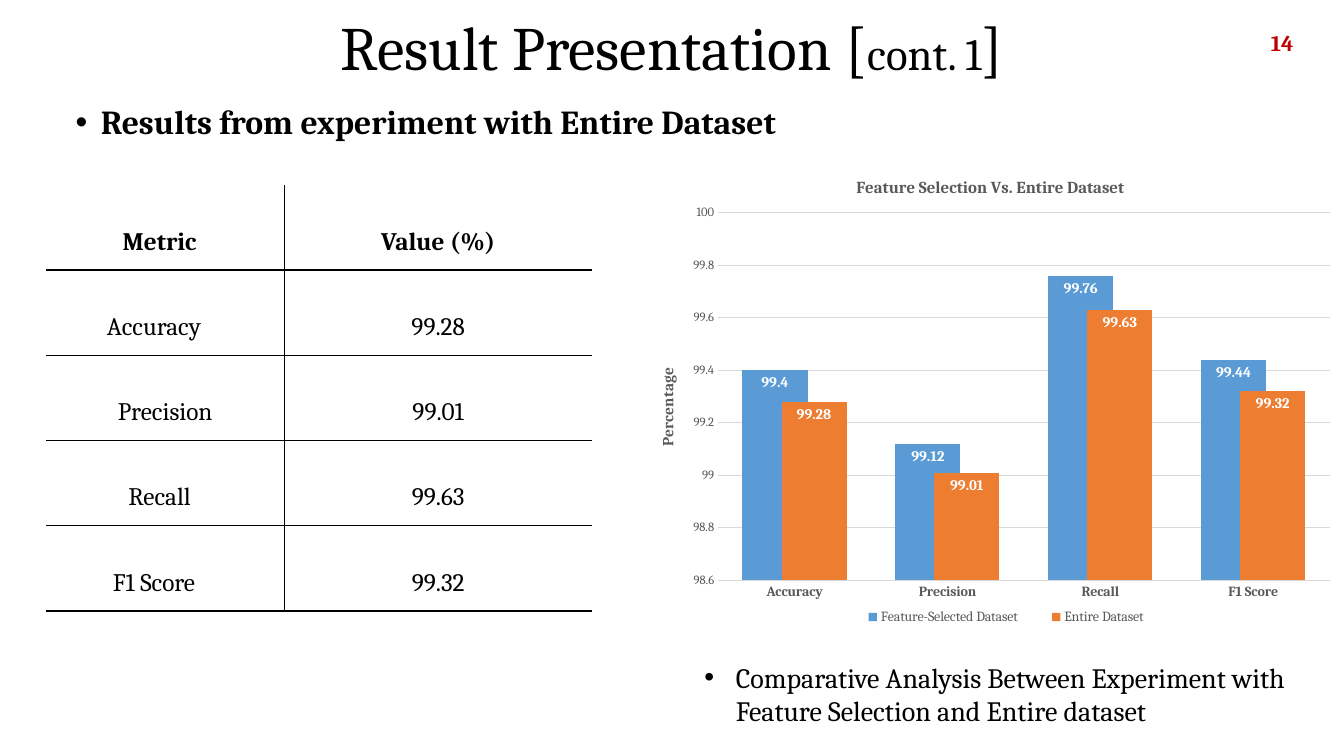
import pptx
import pptx.chart.data
import pptx.dml.color
import pptx.enum.chart
import pptx.enum.text
import pptx.oxml
import pptx.oxml.ns
import pptx.util
from lxml import etree

Pt = pptx.util.Pt
ALIGN = pptx.enum.text.PP_ALIGN
MIDDLE = pptx.enum.text.MSO_ANCHOR.MIDDLE


class Theme:
    font = "Cambria"
    black, red, grey, white = "000000", "C00000", "595959", "FFFFFF"
    grid, blue, orange = "D9D9D9", "5B9BD5", "ED7D31"
    title, title_note, heading, caption, cell, page = 44, 32, 24, 20, 18, 16
    chart_title, axis_title, data_label, chart_text, tick = 12, 11, 10.5, 10, 9


def rgb(colour):
    return pptx.dml.color.RGBColor.from_string(colour)


def set_all(target, values):
    for name, value in values.items():
        setattr(target, name, value)


def style_font(font, size, colour=Theme.black, bold=False):
    set_all(font, {"name": Theme.font, "size": Pt(size), "bold": bold})
    font.color.rgb = rgb(colour)


def write(paragraph, text, size, colour=Theme.black, bold=False):
    run = paragraph.add_run()
    run.text = text
    style_font(run.font, size, colour, bold)


def add_text(slide, box, frame_format=None):
    """Add a wrapping text box and return its first paragraph."""
    frame = slide.shapes.add_textbox(*map(Pt, box)).text_frame
    set_all(frame, {"word_wrap": True, **(frame_format or {})})
    return frame.paragraphs[0]


def add_bullet(paragraph, left, hanging):
    props = paragraph._p.get_or_add_pPr()
    props.set("marL", str(Pt(left)))
    props.set("indent", str(-Pt(hanging)))
    for tag, key, value in (("a:buFont", "typeface", "Arial"), ("a:buChar", "char", "•")):
        etree.SubElement(props, pptx.oxml.ns.qn(tag)).set(key, value)


# Title and page number
def build_header(slide, box, page):
    left, top, width, height = box
    title = slide.shapes.title
    set_all(title, dict(zip(("left", "top", "width", "height"), map(Pt, box))))
    title.text_frame.vertical_anchor = MIDDLE
    line = title.text_frame.paragraphs[0]
    set_all(line, {"alignment": ALIGN.CENTER, "line_spacing": 0.9})
    write(line, "Result Presentation [", Theme.title)
    write(line, "cont. 1", Theme.title_note)
    write(line, "]", Theme.title)

    number = add_text(slide, (left + width - 131, top + 16, 168, 29),
                      {"vertical_anchor": MIDDLE})
    number.alignment = ALIGN.RIGHT
    write(number, page, Theme.page, Theme.red, True)


# Bulleted statement
def build_bullet(slide, box, text, size, left, hanging, bold=False, spacing=1.0):
    statement = add_text(slide, box)
    statement.line_spacing = spacing
    add_bullet(statement, left, hanging)
    write(statement, text, size, bold=bold)


# Metric table
def border_cell(cell, visible):
    props = cell._tc.get_or_add_tcPr()
    for side in "LRTB":
        paint = (f'<a:solidFill><a:srgbClr val="{Theme.black}"/></a:solidFill>'
                 if side in visible else "<a:noFill/>")
        props.append(pptx.oxml.parse_xml(
            f'<a:ln{side} {pptx.oxml.ns.nsdecls("a")} w="{Pt(1)}">{paint}</a:ln{side}>'))


def build_metrics(slide, box, column_widths, rows):
    left, top, width, height = box
    table = slide.shapes.add_table(len(rows), 2, *map(Pt, box)).table
    set_all(table, {"first_row": False, "horz_banding": False})
    for column, column_width in zip(table.columns, column_widths):
        column.width = Pt(column_width)
    for r, (metric, value, shift) in enumerate(rows):
        table.rows[r].height = Pt(height / len(rows))
        for c, text in enumerate((metric, value)):
            cell = table.cell(r, c)
            set_all(cell, {"vertical_anchor": MIDDLE, "margin_top": 0, "margin_bottom": 0,
                           "margin_left": Pt(5), "margin_right": Pt(5 if c else 5 + shift)})
            border_cell(cell, ("L" if c else "R") + ("TB" if r else "B"))
            cell.fill.background()
            line = cell.text_frame.paragraphs[0]
            set_all(line, {"alignment": ALIGN.CENTER, "line_spacing": 2.0})
            write(line, text, Theme.cell, bold=r == 0)


# Comparison chart
def place_part(element, index, position, inner=False):
    """Give a chart part its place as fractions of the chart."""
    for old in element.findall(pptx.oxml.ns.qn("c:layout")):
        element.remove(old)
    target = '<c:layoutTarget val="inner"/>' if inner else ""
    keys = ("x", "y", "w", "h")[:len(position)]
    modes = "".join(f'<c:{k}Mode val="edge"/>' for k in keys[:2])
    sizes = "".join(f'<c:{k} val="{v}"/>' for k, v in zip(keys, position))
    element.insert(index, pptx.oxml.parse_xml(
        f'<c:layout {pptx.oxml.ns.nsdecls("c")}><c:manualLayout>'
        f"{target}{modes}{sizes}</c:manualLayout></c:layout>"))


def title_part(title, text, size, position):
    write(title.text_frame.paragraphs[0], text, size, Theme.grey, True)
    place_part(title._element, 1, position)


def build_comparison(slide, box, categories, series_values):
    enums = pptx.enum.chart
    data = pptx.chart.data.CategoryChartData()
    data.categories = categories
    for name, values, _ in series_values:
        data.add_series(name, values)
    chart = slide.shapes.add_chart(
        enums.XL_CHART_TYPE.COLUMN_CLUSTERED, *map(Pt, box), data).chart
    style_font(chart.font, Theme.chart_text)
    set_all(chart, {"has_title": True, "has_legend": True})
    title_part(chart.chart_title, "Feature Selection Vs. Entire Dataset",
               Theme.chart_title, (0.31, 0.04))

    plot = chart.plots[0]
    set_all(plot, {"gap_width": 75, "overlap": 40, "vary_by_categories": False})
    for series, (_, _, colour) in zip(plot.series, series_values):
        series.format.fill.solid()
        series.format.fill.fore_color.rgb = rgb(colour)
        labels = series.data_labels
        set_all(labels, {"show_value": True,
                         "position": enums.XL_LABEL_POSITION.INSIDE_END})
        style_font(labels.font, Theme.data_label, Theme.white, True)

    no_tick = {"major_tick_mark": enums.XL_TICK_MARK.NONE,
               "minor_tick_mark": enums.XL_TICK_MARK.NONE}
    metrics, percentage = chart.category_axis, chart.value_axis
    set_all(metrics, no_tick)
    style_font(metrics.tick_labels.font, Theme.chart_text, Theme.grey, True)
    set_all(percentage, {**no_tick, "minimum_scale": 98.6, "maximum_scale": 100,
                         "major_unit": 0.2, "has_major_gridlines": True})
    style_font(percentage.tick_labels.font, Theme.tick, Theme.grey)
    percentage.format.line.fill.background()
    for line in (metrics.format.line, percentage.major_gridlines.format.line):
        line.color.rgb = rgb(Theme.grid)
        line.width = Pt(0.75)
    title_part(percentage.axis_title, "Percentage", Theme.axis_title, (0.03, 0.43))

    set_all(chart.legend, {"position": enums.XL_LEGEND_POSITION.BOTTOM,
                           "include_in_layout": False})
    style_font(chart.legend.font, Theme.chart_text, Theme.grey)
    place_part(chart.legend._element, 1, (0.29, 0.92, 0.47, 0.05))
    plot_area = chart._chartSpace.chart.plotArea
    place_part(plot_area, 0, (0.12, 0.12, 0.86, 0.75), inner=True)


def build_results(deck):
    slide = deck.slides.add_slide(deck.slide_layouts[5])
    build_header(slide, (66, 0, 828, 72), "14")
    build_bullet(slide, (11, 72, 941, 40), "Results from experiment with Entire Dataset",
                 Theme.heading, left=54, hanging=18, bold=True, spacing=0.9)
    # Metric, value and how far the metric's centre area is narrowed on the right
    build_metrics(slide, (33, 132, 390, 304.5), (170, 220), (
        ("Metric", "Value (%)", 8), ("Accuracy", "99.28", 16), ("Precision", "99.01", 0),
        ("Recall", "99.63", 8), ("F1 Score", "99.32", 16)))
    build_comparison(
        slide, (452, 110, 508, 350), ("Accuracy", "Precision", "Recall", "F1 Score"),
        (("Feature-Selected Dataset", (99.4, 99.12, 99.76, 99.44), Theme.blue),
         ("Entire Dataset", (99.28, 99.01, 99.63, 99.32), Theme.orange)))
    build_bullet(slide, (460, 468, 492, 56), "Comparative Analysis Between Experiment "
                 "with Feature Selection and Entire dataset",
                 Theme.caption, left=58.5, hanging=22.5)


def main():
    deck = pptx.Presentation()
    set_all(deck, {"slide_width": Pt(960), "slide_height": Pt(540)})
    build_results(deck)
    deck.save("out.pptx")


if __name__ == "__main__":
    main()
